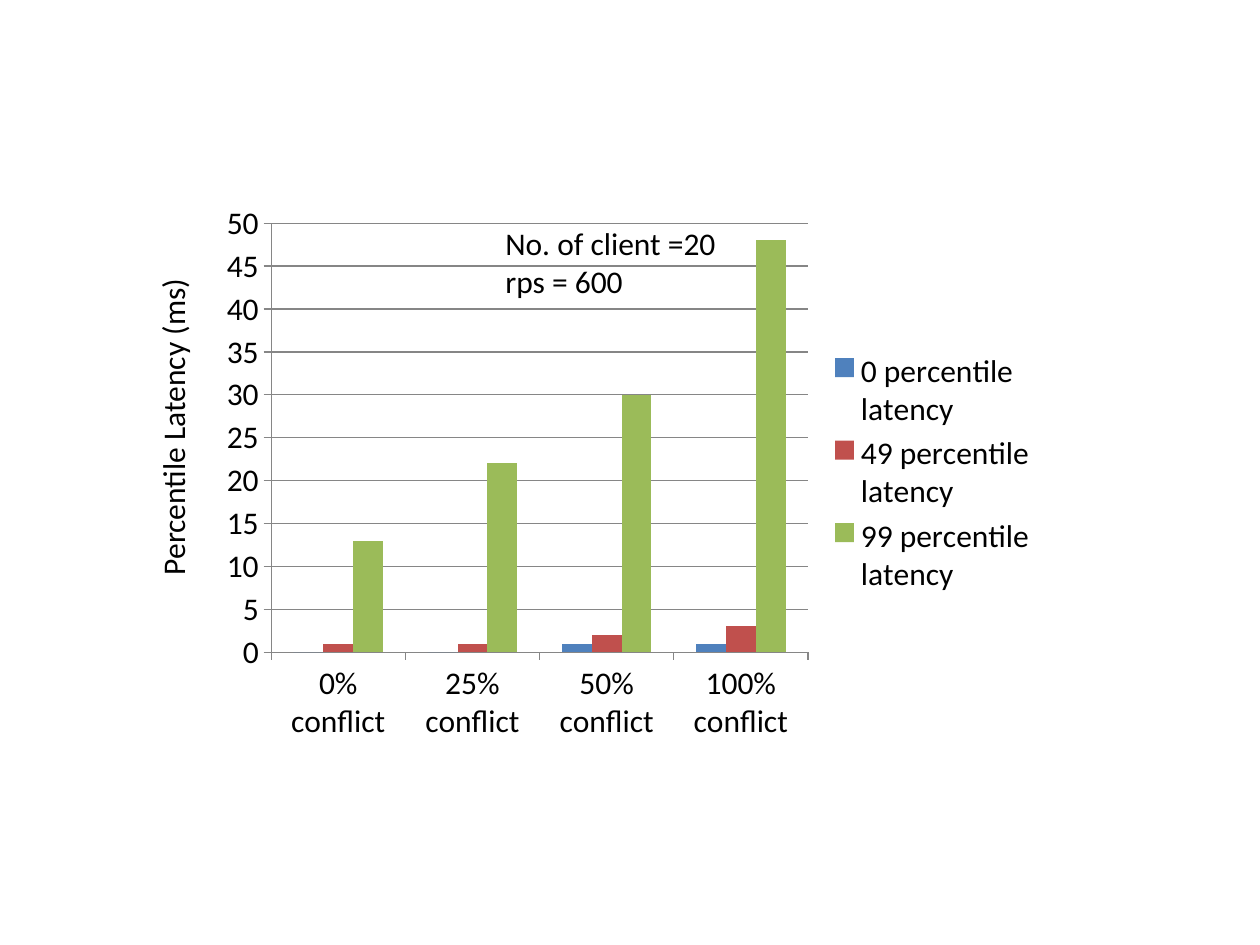
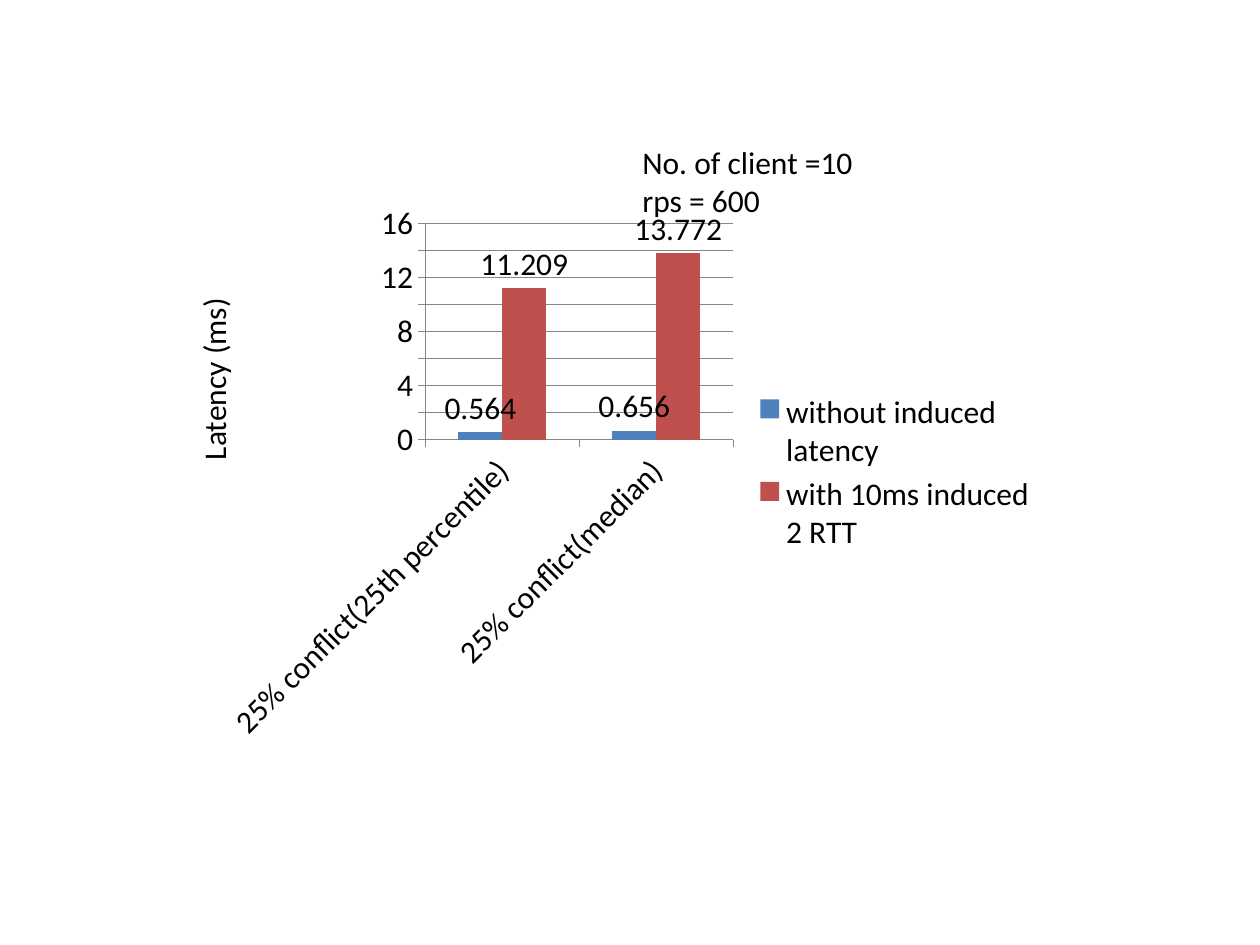
from pptx import Presentation
from pptx.chart.data import CategoryChartData
from pptx.dml.color import RGBColor
from pptx.enum.chart import XL_CHART_TYPE, XL_LEGEND_POSITION, XL_TICK_MARK
from pptx.enum.text import MSO_AUTO_SIZE
from pptx.util import Emu, Pt

COLUMN = XL_CHART_TYPE.COLUMN_CLUSTERED
RIGHT = XL_LEGEND_POSITION.RIGHT
OUT = XL_TICK_MARK.OUTSIDE
NONE = XL_TICK_MARK.NONE
GROW = MSO_AUTO_SIZE.SHAPE_TO_FIT_TEXT

# Shared look
SCALE = 914400 // 126
FONT, SIZE = "Calibri", 18
COLORS = {"text": "000000", "line": "868686", "back": "FFFFFF"}
BARS = ["4F81BD", "C0504D", "9BBB59"]
FRAME = (210, 193, 840, 559)


def px(*nums):
    return [Emu(n * SCALE) for n in nums]


def rgb(name):
    return RGBColor.from_string(COLORS.get(name, name))


def style(font):
    font.name, font.size, font.bold = FONT, Pt(SIZE), False
    font.color.rgb = rgb("text")


def add_page(deck):
    page = deck.slides.add_slide(deck.slide_layouts[6])
    page.background.fill.solid()
    page.background.fill.fore_color.rgb = rgb("back")
    return page


def add_text(page, box, lines, turn=0):
    shape = page.shapes.add_textbox(*px(*box))
    shape.rotation = turn
    frame = shape.text_frame
    frame.word_wrap = False
    frame.auto_size = GROW
    for i, line in enumerate(lines):
        para = frame.paragraphs[0] if i == 0 else frame.add_paragraph()
        run = para.add_run()
        run.text = line
        style(run.font)


def rule(line):
    line.color.rgb = rgb("line")
    line.width = Pt(0.75)


def add_bars(page, cats, series, top, step, labels=False):
    data = CategoryChartData()
    data.categories = cats
    for name, vals in series:
        data.add_series(name, vals)
    chart = page.shapes.add_chart(COLUMN, *px(*FRAME), data).chart
    chart.has_title = False
    style(chart.font)

    # Axes and grid
    for axis in (chart.category_axis, chart.value_axis):
        axis.major_tick_mark, axis.minor_tick_mark = OUT, NONE
        rule(axis.format.line)
    axis = chart.value_axis
    axis.minimum_scale, axis.maximum_scale = 0, top
    axis.major_unit = step
    axis.has_major_gridlines = True
    rule(axis.major_gridlines.format.line)

    # Legend
    chart.has_legend = True
    chart.legend.position = RIGHT
    chart.legend.include_in_layout = False

    # Bars
    plot = chart.plots[0]
    plot.gap_width = 150
    plot.vary_by_categories = False
    for bar, color in zip(plot.series, BARS):
        bar.format.fill.solid()
        bar.format.fill.fore_color.rgb = rgb(color)
        bar.invert_if_negative = False
        if labels:
            bar.data_labels.show_value = True


def percentile_page(deck):
    page = add_page(deck)
    cats = [f"{n}% conflict" for n in (0, 25, 50, 100)]
    series = [
        ("0 percentile latency", (0, 0, 1, 1)),
        ("49 percentile latency", (1, 1, 2, 3)),
        ("99 percentile latency", (13, 22, 30, 48)),
    ]
    add_bars(page, cats, series, 50, 5)
    add_text(page, (10, 400, 325, 50), ["Percentile Latency (ms)"], 270)
    add_text(page, (493, 218, 238, 89), ["No. of client =20", "rps = 600"])


def induced_page(deck):
    page = add_page(deck)
    cats = [f"25% conflict({part})" for part in ("25th percentile", "median")]
    series = [
        ("without induced latency", (0.564, 0.656)),
        ("with 10ms induced 2 RTT", (11.209, 13.772)),
    ]
    add_bars(page, cats, series, 16, 2, labels=True)
    add_text(page, (115, 356, 197, 50), [" Latency (ms)"], 270)
    add_text(page, (630, 137, 238, 89), ["No. of client =10", "rps = 600"])


def main():
    deck = Presentation()
    deck.slide_width, deck.slide_height = px(1260, 945)
    percentile_page(deck)
    induced_page(deck)
    deck.save("out.pptx")


main()
